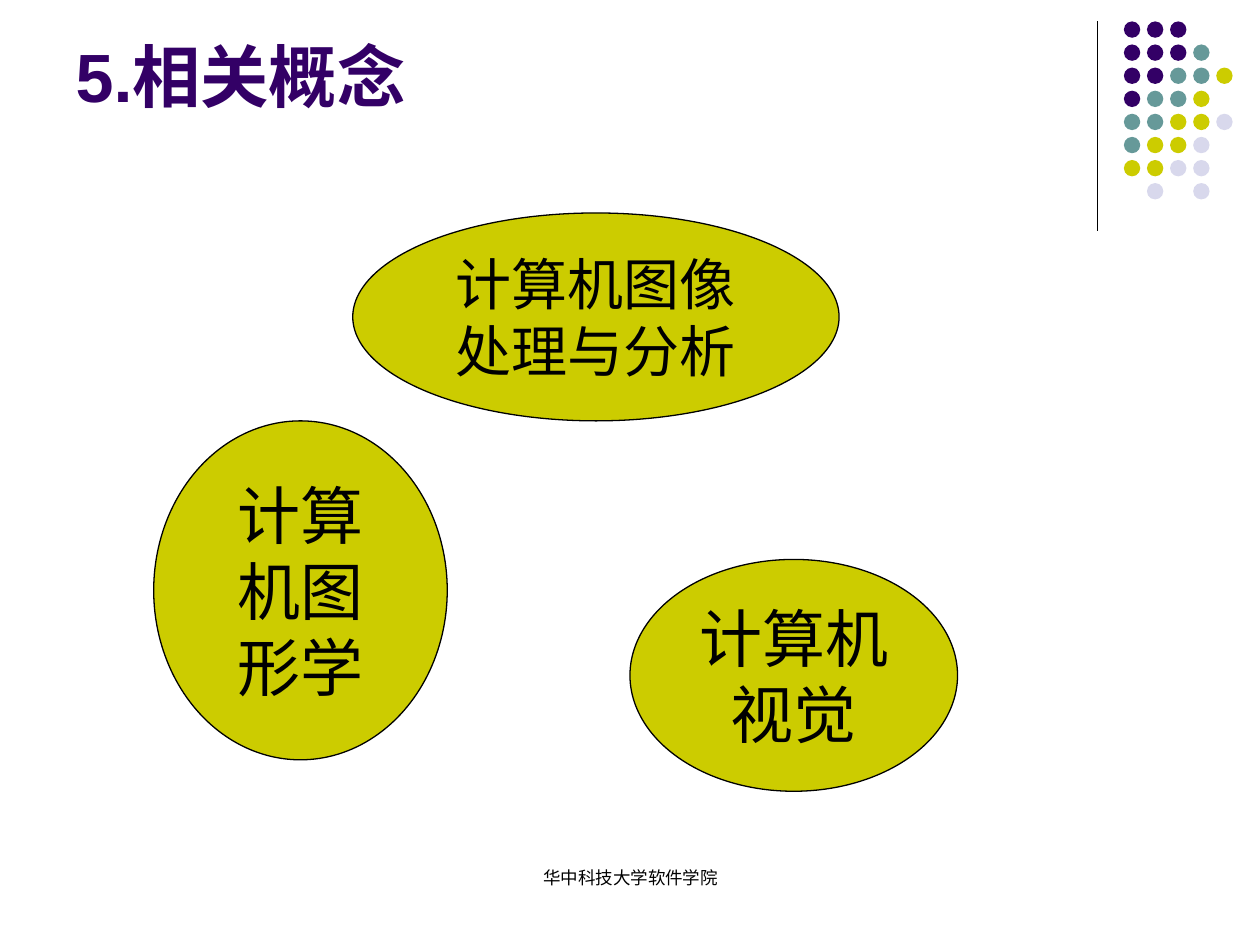
from lxml.etree import SubElement
from pptx import Presentation
from pptx.dml.color import RGBColor
from pptx.enum.shapes import MSO_CONNECTOR, MSO_SHAPE
from pptx.enum.text import MSO_ANCHOR as ANCHOR, PP_ALIGN as ALIGN
from pptx.oxml.ns import qn
from pptx.util import Inches, Pt

BLACK = RGBColor(0x00, 0x00, 0x00)
PURPLE = RGBColor(0x33, 0x00, 0x66)
TEAL = RGBColor(0x66, 0x99, 0x99)
OLIVE = RGBColor(0xCC, 0xCC, 0x00)
LILAC = RGBColor(0xD8, 0xD8, 0xEC)

DOT_COLORS = {"P": PURPLE, "T": TEAL, "O": OLIVE, "L": LILAC}
DOT_ROWS = ["PPP", "PPPT", "PPTTO", "PTTO", "TTOOL", "TOOL", "OOLL", " L L"]
DOT_LEFT, DOT_TOP, DOT_SIZE, DOT_PITCH = 8.92, 0.17, 0.13, 0.18333

CONCEPTS = [
    ((1.22, 3.34, 2.33, 2.69), ["计算机图形学"], 36),
    ((5, 4.44, 2.6, 1.84), ["计算机视觉"], 36),
    ((2.8, 1.69, 3.86, 1.65), ["计算机图像", "处理与分析"], 32),
]


def write(shape, lines, size, color=BLACK, bold=False, align=ALIGN.CENTER, anchor=ANCHOR.MIDDLE):
    """Fill a shape with formatted paragraphs."""
    tf = shape.text_frame
    tf.word_wrap = True
    tf.vertical_anchor = anchor
    tf.text = "\n".join(lines)
    for p in tf.paragraphs:
        p.alignment = align
        p.font.color.rgb = color
        for name, value in {"name": "Arial", "size": Pt(size), "bold": bold}.items():
            setattr(p.font, name, value)


def add_ellipse(shapes, box, fill, outlined=False):
    """Add a flat ellipse, with a thin black outline if wanted."""
    sp = shapes.add_shape(MSO_SHAPE.OVAL, *map(Inches, box))
    sp.shadow.inherit = False
    sp.fill.solid()
    sp.fill.fore_color.rgb = fill
    if outlined:
        sp.line.color.rgb = BLACK
        sp.line.width = Pt(0.75)
    else:
        sp.line.fill.background()
    return sp


def add_rule(s, x, top, bottom):
    """Add the vertical rule beside the dots."""
    line = s.shapes.add_connector(MSO_CONNECTOR.STRAIGHT, *map(Inches, (x, top, x, bottom)))
    line.line.color.rgb = BLACK
    line.line.width = Pt(0.75)
    SubElement(line._element.spPr, qn("a:effectLst"))


def add_dots(s):
    """Add the grouped grid of coloured dots."""
    group = s.shapes.add_group_shape()
    for row, keys in enumerate(DOT_ROWS):
        for col, key in enumerate(keys):
            if key in DOT_COLORS:
                box = (DOT_LEFT + col * DOT_PITCH, DOT_TOP + row * DOT_PITCH, DOT_SIZE, DOT_SIZE)
                add_ellipse(group.shapes, box, DOT_COLORS[key])


def add_title(s, text):
    """Place and format the title placeholder."""
    title = s.shapes.title
    for name, value in {"left": 0.5, "top": 0.13, "width": 8.25, "height": 0.84}.items():
        setattr(title, name, Inches(value))
    write(title, [text], 39, PURPLE, True, ALIGN.LEFT, ANCHOR.BOTTOM)


def add_footer(s, text):
    """Add the centred footer text."""
    box = s.shapes.add_textbox(*map(Inches, (3.42, 6.83, 3.17, 0.5)))
    write(box, [text], 10, anchor=ANCHOR.TOP)


def main():
    """Build the slide and save it."""
    prs = Presentation()
    prs.slide_width, prs.slide_height = Inches(10), Inches(7.5)
    s = prs.slides.add_slide(prs.slide_layouts[5])
    add_rule(s, 8.71, 0.17, 1.83)
    add_dots(s)
    add_footer(s, "华中科技大学软件学院")
    add_title(s, "5.相关概念")
    for box, lines, size in CONCEPTS:
        write(add_ellipse(s.shapes, box, OLIVE, outlined=True), lines, size)
    prs.save("out.pptx")


if __name__ == "__main__":
    main()
